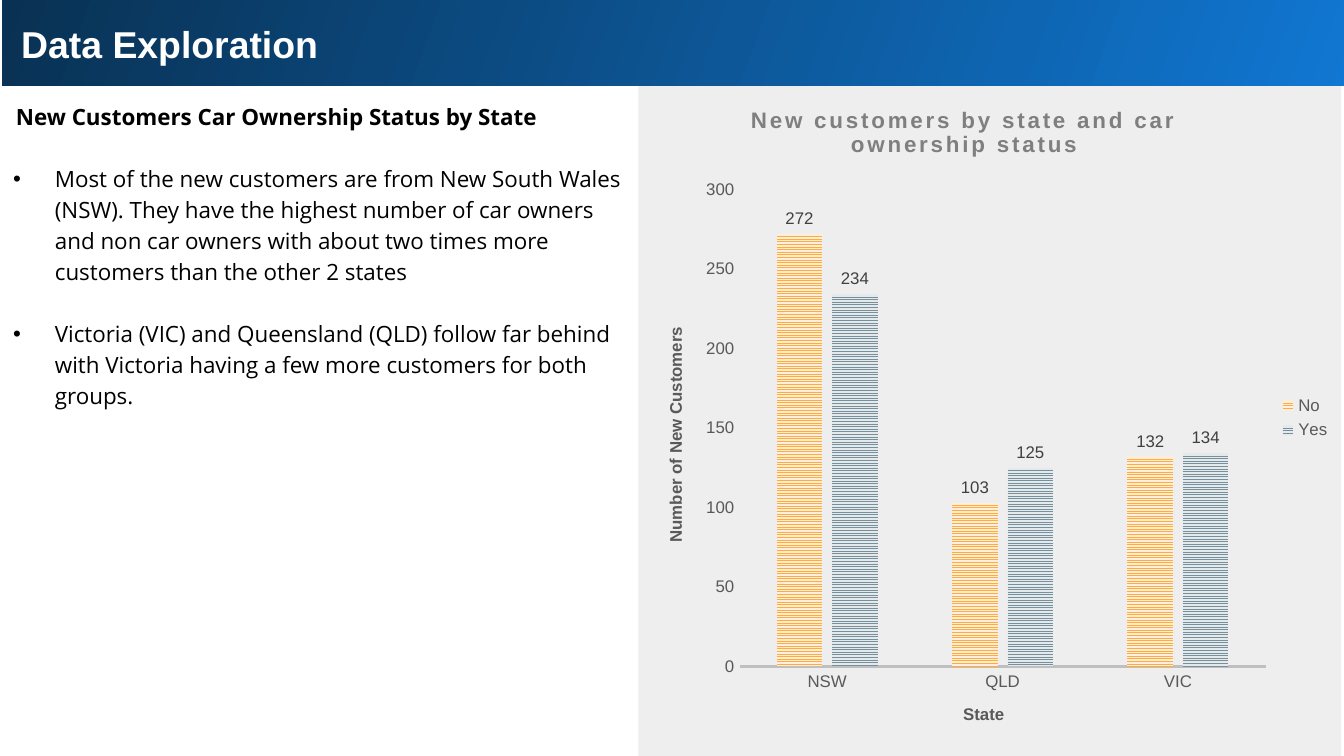
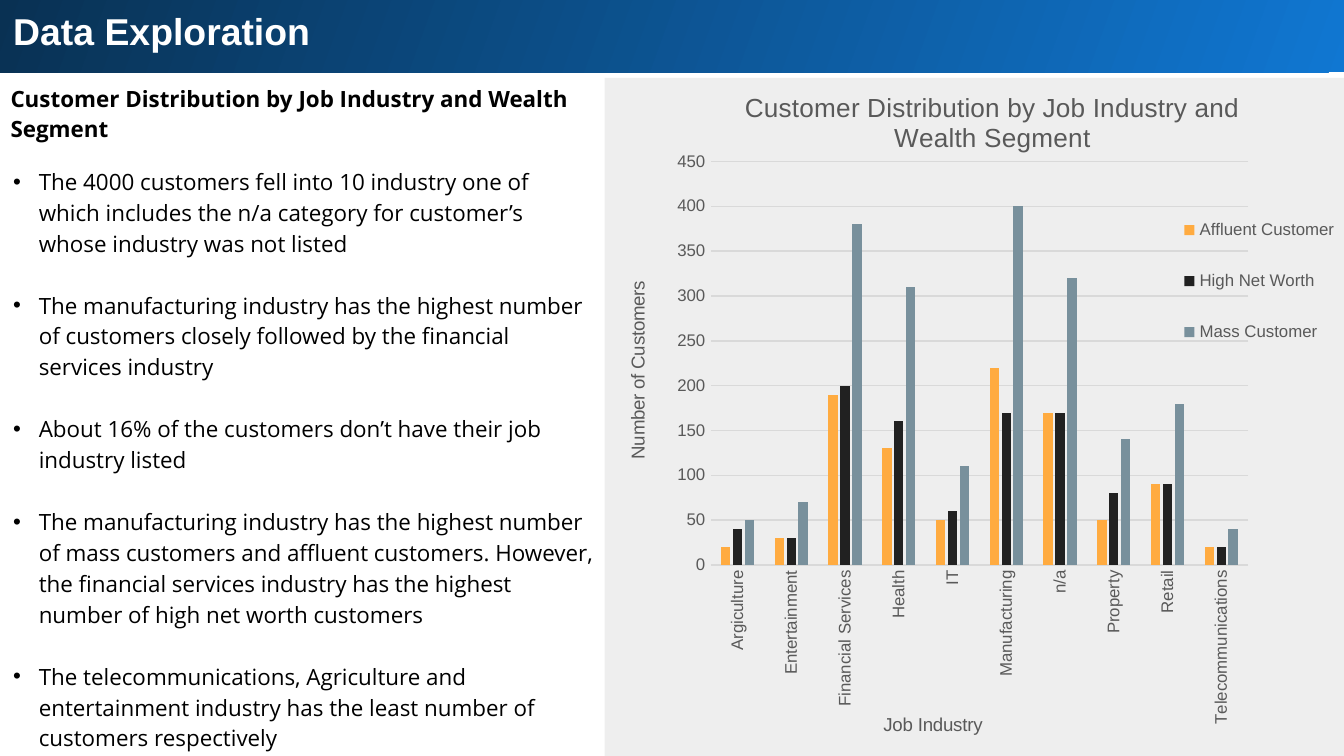
from lxml import etree
from pptx import Presentation
from pptx.chart.data import CategoryChartData
from pptx.dml.color import RGBColor
from pptx.enum.chart import XL_CHART_TYPE as ChartType
from pptx.enum.chart import XL_LABEL_POSITION as LabelPosition
from pptx.enum.chart import XL_LEGEND_POSITION as LegendPosition
from pptx.enum.chart import XL_TICK_MARK as TickMark
from pptx.enum.dml import MSO_PATTERN as Pattern
from pptx.enum.shapes import MSO_SHAPE as Shape
from pptx.enum.text import MSO_AUTO_SIZE as AutoSize
from pptx.enum.text import PP_ALIGN as Align
from pptx.oxml.ns import qn
from pptx.util import Inches, Pt

COLORS = {
    "white": "FFFFFF", "black": "000000", "panel": "EEEEEE",
    "blue": "1077D2", "navy": "093153",
    "orange": "FFAB40", "pale orange": "FFEED9",
    "slate": "78909C", "pale slate": "E4E9EB", "charcoal": "212121",
    "gray": "595959", "title gray": "7F7F7F", "label gray": "404040",
    "axis gray": "BFBFBF", "grid gray": "D9D9D9",
}


def rgb(name):
    return RGBColor.from_string(COLORS[name])


class DeckStyle:
    """Hold the shared style and the current slide, and draw each kind of element."""

    def __init__(self, deck):
        self.deck = deck
        self.page = None

    def new_page(self):
        self.page = self.deck.slides.add_slide(self.deck.slide_layouts[6])

    def style_font(self, font, size, color, bold=False, face="Arial"):
        font.name = face
        font.size = Pt(size)
        font.bold = bold
        font.color.rgb = rgb(color)

    def rectangle(self, area):
        box = self.page.shapes.add_shape(Shape.RECTANGLE, *map(Inches, area))
        box.shadow.inherit = False
        box.line.fill.background()
        return box

    def band(self, area):
        fill = self.rectangle(area).fill
        fill.gradient()
        fill.gradient_angle = 160
        for stop, color in zip(fill.gradient_stops, ("blue", "navy")):
            stop.color.rgb = rgb(color)

    def panel(self, area):
        fill = self.rectangle(area).fill
        fill.solid()
        fill.fore_color.rgb = rgb("panel")

    def text(self, area, lines, size=12, color="black", bold=False,
             face="Open Sans", spacing=1.15, indent=0):
        box = self.page.shapes.add_textbox(*map(Inches, area))
        frame = box.text_frame
        frame.word_wrap = True
        frame.auto_size = AutoSize.SHAPE_TO_FIT_TEXT
        frame.margin_left = frame.margin_right = Inches(0.1)
        frame.margin_top = frame.margin_bottom = Inches(0.1)
        for number, line in enumerate(lines):
            para = frame.add_paragraph() if number else frame.paragraphs[0]
            para.alignment = Align.LEFT
            para.line_spacing = spacing
            if number:
                para.space_before = Pt(16.6)
            if indent:
                self.bullet(para, indent)
            span = para.add_run()
            span.text = line
            self.style_font(span.font, size, color, bold, face)

    def bullet(self, para, indent):
        props = para._p.get_or_add_pPr()
        props.set("marL", str(Inches(indent)))
        props.set("indent", str(-Inches(indent)))
        etree.SubElement(props, qn("a:buFont")).set("typeface", "Arial")
        etree.SubElement(props, qn("a:buChar")).set("char", "•")

    def heading(self, area):
        self.text(area, ["Data Exploration"], 20, "white", True, "Arial", 1)

    def place(self, element, spot, inner=False):
        old = element.find(qn("c:layout"))
        if old is not None:
            element.remove(old)
        layout = etree.Element(qn("c:layout"))
        manual = etree.SubElement(layout, qn("c:manualLayout"))
        settings = [("layoutTarget", "inner")] if inner else []
        settings += [("xMode", "edge"), ("yMode", "edge")]
        settings += zip("xywh", spot)
        for tag, value in settings:
            etree.SubElement(manual, qn(f"c:{tag}")).set("val", str(value))
        overlay = element.find(qn("c:overlay"))
        if overlay is None:
            element.insert(0, layout)
        else:
            overlay.addprevious(layout)

    def chart_title(self, title, wording, spot, size, color="gray", bold=False,
                    tracking=0, rotation=0):
        frame = title.text_frame
        span = frame.paragraphs[0].add_run()
        span.text = wording
        self.style_font(span.font, size, color, bold)
        if tracking:
            span._r.get_or_add_rPr().set("spc", str(tracking))
        if rotation:
            body = frame._txBody.find(qn("a:bodyPr"))
            body.set("rot", str(rotation * 60000))
            body.set("vert", "horz")
        self.place(title._element, spot)

    def column_chart(self, area, categories, series, gap, overlap, top, plot_area):
        data = CategoryChartData()
        data.categories = categories
        for name, values in series:
            data.add_series(name, values)
        frame = self.page.shapes.add_chart(
            ChartType.COLUMN_CLUSTERED, *map(Inches, area), data)
        chart = frame.chart
        self.style_font(chart.font, 10, "black")
        plot = chart.plots[0]
        plot.vary_by_categories = False
        plot.gap_width = gap
        plot.overlap = overlap
        chart.has_title = True
        chart.has_legend = True
        chart.legend.position = LegendPosition.RIGHT
        chart.legend.include_in_layout = False
        self.style_font(chart.legend.font, 9, "gray")
        for axis in (chart.category_axis, chart.value_axis):
            axis.major_tick_mark = axis.minor_tick_mark = TickMark.NONE
            axis.has_major_gridlines = False
            self.style_font(axis.tick_labels.font, 9, "gray")
        scale = chart.value_axis
        scale.minimum_scale, scale.maximum_scale, scale.major_unit = 0, top, 50
        scale.format.line.fill.background()
        self.place(chart._chartSpace.chart.plotArea, plot_area, inner=True)
        return chart

    def stroke(self, line, color, width):
        line.color.rgb = rgb(color)
        line.width = Pt(width)


def ownership_page(style):
    style.new_page()
    style.band((0.02, 0, 10.05, 0.64))
    style.heading((0.06, 0.06, 9.37, 0.54))
    style.text((0.02, 0.64, 4.73, 0.42),
               ["New Customers Car Ownership Status by State"], bold=True)
    style.text((0, 1.1, 4.75, 2.62), [
        "Most of the new customers are from New South Wales (NSW). They have the "
        "highest number of car owners and non car owners with about two times more "
        "customers than the other 2 states",
        "Victoria (VIC) and Queensland (QLD) follow far behind with Victoria having "
        "a few more customers for both groups.",
    ], indent=0.31)
    style.panel((4.75, 0.64, 5.23, 4.99))
    chart = style.column_chart(
        (4.71, 0.61, 5.29, 5), ["NSW", "QLD", "VIC"],
        [("No", (272, 103, 132)), ("Yes", (234, 125, 134))],
        164, -22, 300, (0.15, 0.16, 0.74, 0.71))
    style.chart_title(chart.chart_title,
                      "New customers by state and car ownership status",
                      (0.16, 0.03), 12, "title gray", True, tracking=150)
    style.chart_title(chart.category_axis.axis_title, "State",
                      (0.46, 0.92), 9, bold=True)
    style.chart_title(chart.value_axis.axis_title, "Number of New Customers",
                      (0.04, 0.36), 9, bold=True, rotation=-90)
    style.stroke(chart.category_axis.format.line, "axis gray", 1.5)
    for bars, color in zip(chart.plots[0].series, ("orange", "slate")):
        fill = bars.format.fill
        fill.patterned()
        fill.pattern = Pattern.NARROW_HORIZONTAL
        fill.fore_color.rgb = rgb(color)
        fill.back_color.rgb = rgb(f"pale {color}")
        labels = bars.data_labels
        labels.show_value = True
        labels.position = LabelPosition.OUTSIDE_END
        style.style_font(labels.font, 9, "label gray")


def industry_page(style):
    style.new_page()
    style.band((0, -0.07, 10.05, 0.61))
    style.heading((0, -0.04, 10.05, 0.54))
    topic = "Customer Distribution by Job Industry and Wealth Segment"
    style.text((-0.02, 0.5, 4.52, 0.65), [topic], bold=True)
    style.text((0, 1.12, 4.52, 4.6), [
        "The 4000 customers fell into 10 industry one of which includes the n/a "
        "category for customer’s whose industry was not listed",
        "The manufacturing industry has the highest number of customers closely "
        "followed by the financial services industry",
        "About 16% of the customers don’t have their job industry listed",
        "The manufacturing industry has the highest number of mass customers and "
        "affluent customers. However, the financial services industry has the "
        "highest number of high net worth customers",
        "The telecommunications, Agriculture and entertainment industry has the "
        "least number of customers respectively",
    ], indent=0.19)
    style.panel((4.5, 0.58, 5.5, 5.05))
    industries = ["Argiculture", "Entertainment", "Financial Services", "Health",
                  "IT", "Manufacturing", "n/a", "Property", "Retail",
                  "Telecommunications"]
    segments = [
        ("Affluent Customer", (20, 30, 190, 130, 50, 220, 170, 50, 90, 20)),
        ("High Net Worth", (40, 30, 200, 160, 60, 170, 170, 80, 90, 20)),
        ("Mass Customer", (50, 70, 380, 310, 110, 400, 320, 140, 180, 40)),
    ]
    chart = style.column_chart((4.52, 0.54, 5.48, 5.09), industries, segments,
                               219, -27, 450, (0.14, 0.13, 0.73, 0.59))
    style.chart_title(chart.chart_title, topic, (0.18, 0.02), 14)
    style.chart_title(chart.category_axis.axis_title, "Job Industry",
                      (0.37, 0.93), 10)
    style.chart_title(chart.value_axis.axis_title, "Number of Customers",
                      (0.02, 0.3), 10, rotation=-90)
    style.place(chart.legend._element, (0.77, 0.17, 0.23, 0.27))
    style.stroke(chart.category_axis.format.line, "grid gray", 0.75)
    style.stroke(chart.value_axis.major_gridlines.format.line, "grid gray", 0.75)
    label_body = chart.category_axis._element.find(qn("c:txPr")).find(qn("a:bodyPr"))
    label_body.set("rot", str(-90 * 60000))
    label_body.set("vert", "horz")
    for bars, color in zip(chart.plots[0].series, ("orange", "charcoal", "slate")):
        bars.format.fill.solid()
        bars.format.fill.fore_color.rgb = rgb(color)


def main():
    deck = Presentation()
    deck.slide_width = Inches(10)
    deck.slide_height = Inches(5.625)
    style = DeckStyle(deck)
    ownership_page(style)
    industry_page(style)
    deck.save("out.pptx")


if __name__ == "__main__":
    main()
